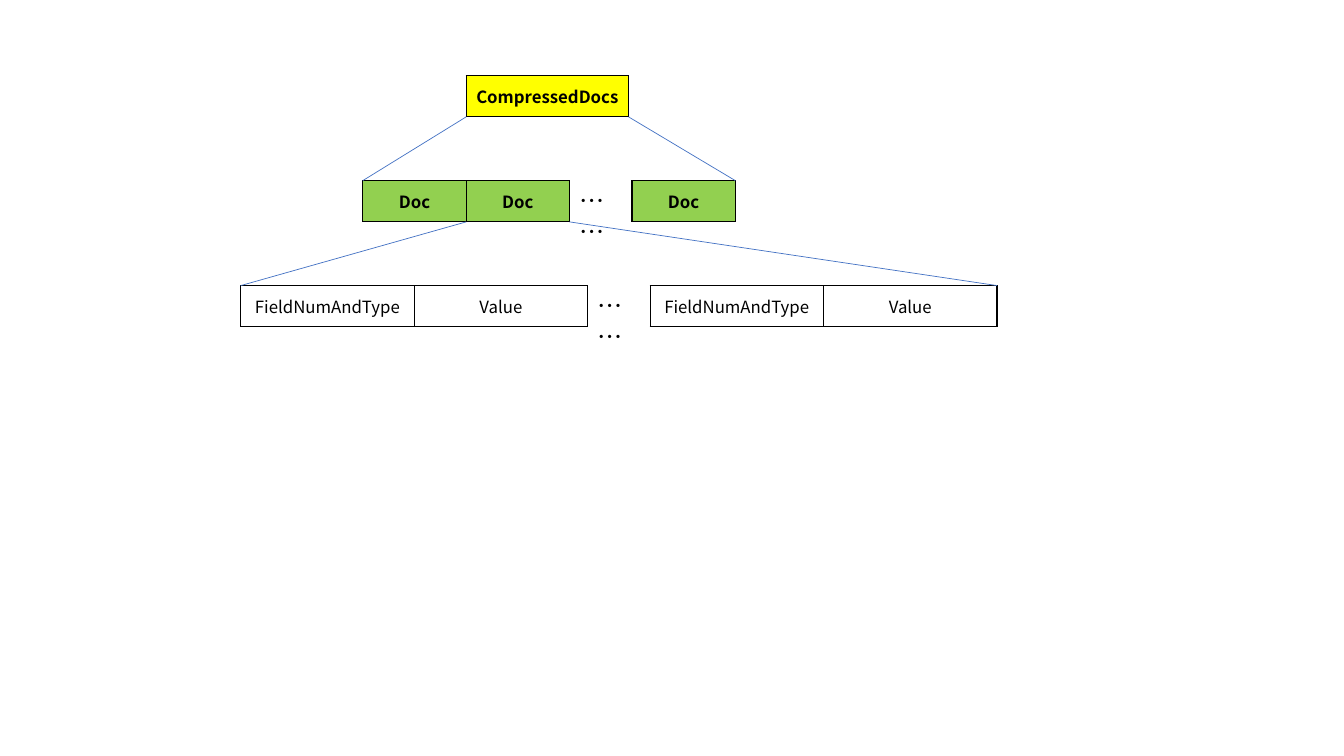
from dataclasses import dataclass

from lxml.etree import SubElement
from pptx import Presentation
from pptx.dml.color import RGBColor
from pptx.enum.shapes import MSO_CONNECTOR
from pptx.enum.text import MSO_ANCHOR, PP_ALIGN
from pptx.oxml.ns import qn
from pptx.util import Pt

# Content: each level has groups of cells, with an ellipsis between groups
LEVELS = [
    dict(groups=[["CompressedDocs"]], left=333, width=116, fill="yellow", bold=True),
    dict(groups=[["Doc", "Doc"], ["Doc"]], left=259.2, width=73.8, fill="green", bold=True),
    dict(groups=[["FieldNumAndType", "Value"]] * 2, left=172, width=123.9, fill="white", bold=False),
]
ELLIPSIS = "… …"
# Column of each level that opens up into the level below
EXPANDED = [0, 1]


@dataclass(frozen=True)
class Theme:
    font: str = "Noto Sans CJK SC"
    cell_size: float = 12
    dots_size: float = 18
    black: str = "000000"
    yellow: str = "FFFF00"
    green: str = "92D050"
    white: str = "FFFFFF"
    blue: str = "4472C4"


THEME = Theme()
TOP, STEP, ROW_H, GAP, INSET = 54, 75, 29.5, 44.6, 4


def add_run(p, text, size, bold=False):
    r = p.add_run()
    r.text = text
    r.font.size = Pt(size)
    r.font.bold = bold
    r.font.color.rgb = RGBColor.from_string(THEME.black)
    r.font.name = THEME.font
    SubElement(r.font._element, qn("a:ea"), typeface=THEME.font)


def add_borders(cell):
    tcPr = cell._tc.get_or_add_tcPr()
    for i, side in enumerate(("lnL", "lnR", "lnT", "lnB")):
        ln = tcPr.makeelement(qn(f"a:{side}"), {"w": str(Pt(1))})
        fill = SubElement(ln, qn("a:solidFill"))
        SubElement(fill, qn("a:srgbClr"), val=THEME.black)
        tcPr.insert(i, ln)


def add_row(s, labels, left, top, level):
    frame = s.shapes.add_table(1, len(labels), Pt(left), Pt(top),
                               Pt(level["width"] * len(labels)), Pt(ROW_H))
    table = frame.table
    table.first_row = table.horz_banding = False
    table.rows[0].height = Pt(ROW_H)
    for i, label in enumerate(labels):
        table.columns[i].width = Pt(level["width"])
        cell = table.cell(0, i)
        cell.margin_left = cell.margin_right = Pt(INSET)
        cell.vertical_anchor = MSO_ANCHOR.MIDDLE
        cell.fill.solid()
        cell.fill.fore_color.rgb = RGBColor.from_string(getattr(THEME, level["fill"]))
        add_borders(cell)
        p = cell.text_frame.paragraphs[0]
        p.alignment = PP_ALIGN.CENTER
        add_run(p, label, THEME.cell_size, level["bold"])


def add_dots(s, left, top):
    tf = s.shapes.add_textbox(Pt(left), Pt(top), Pt(GAP), Pt(29)).text_frame
    tf.word_wrap = True
    add_run(tf.paragraphs[0], ELLIPSIS, THEME.dots_size)


def add_line(s, x1, y1, x2, y2):
    line = s.shapes.add_connector(MSO_CONNECTOR.STRAIGHT, Pt(x1), Pt(y1), Pt(x2), Pt(y2))
    line.line.color.rgb = RGBColor.from_string(THEME.blue)
    line.line.width = Pt(0.5)
    SubElement(line._element.spPr, qn("a:effectLst"))


def main():
    prs = Presentation()
    prs.slide_width, prs.slide_height = Pt(960), Pt(540)
    s = prs.slides.add_slide(prs.slide_layouts[6])

    # Rows of cells with ellipses in the gaps
    rights = []
    for n, level in enumerate(LEVELS):
        x, top = level["left"], TOP + n * STEP
        for i, labels in enumerate(level["groups"]):
            if i:
                add_dots(s, x, top)
                x += GAP
            add_row(s, labels, x, top, level)
            x += level["width"] * len(labels)
        rights.append(x)

    # Lines from an expanded cell to both ends of the next row
    for n, column in enumerate(EXPANDED):
        level = LEVELS[n]
        left = level["left"] + column * level["width"]
        bottom, below = TOP + n * STEP + ROW_H, TOP + (n + 1) * STEP
        add_line(s, left, bottom, LEVELS[n + 1]["left"], below)
        add_line(s, left + level["width"], bottom, rights[n + 1], below)

    prs.save("out.pptx")


if __name__ == "__main__":
    main()
